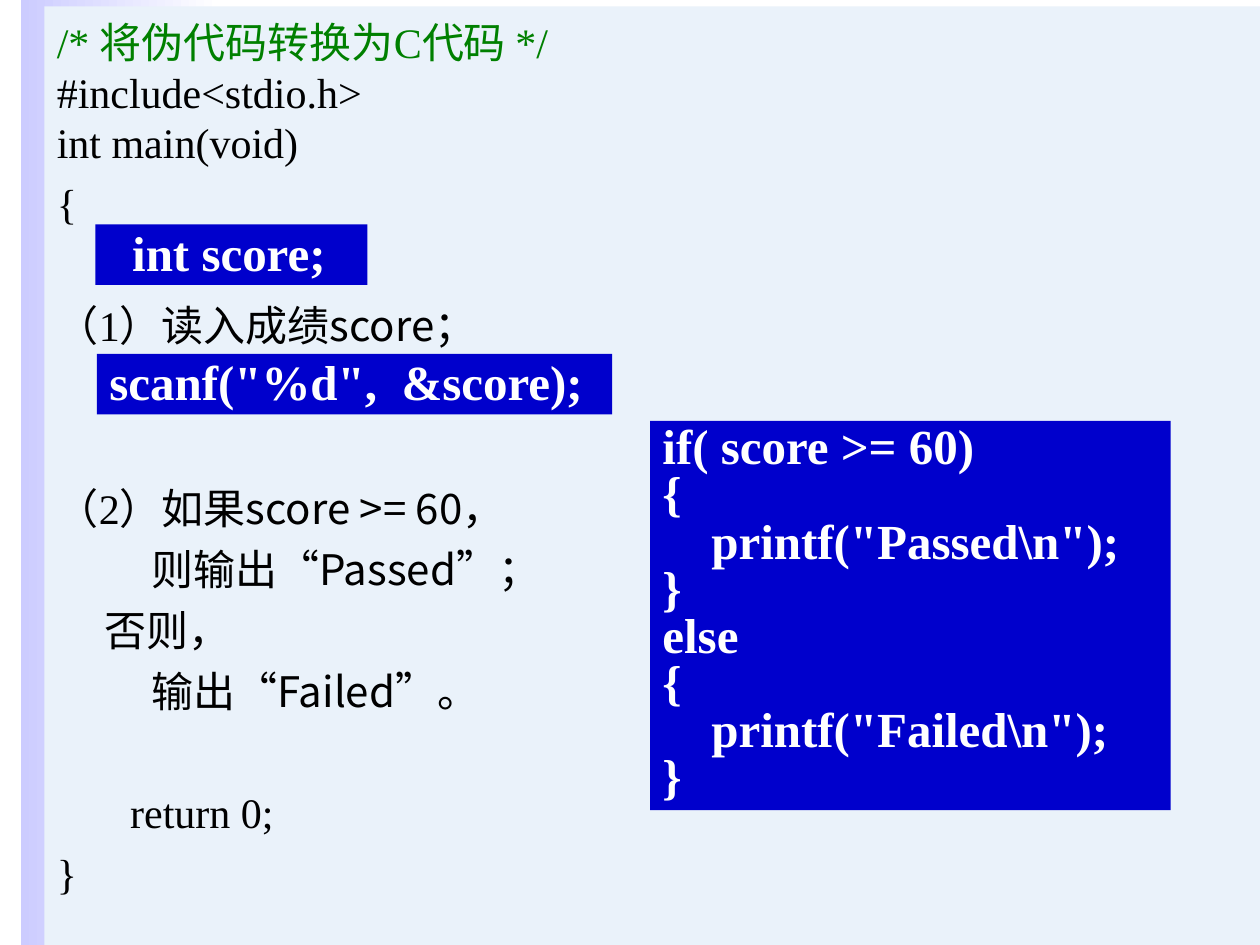
from dataclasses import dataclass

from pptx import Presentation
from pptx.dml.color import RGBColor
from pptx.enum import shapes, text
from pptx.oxml.ns import qn
from pptx.util import Pt

SERIF = "Times New Roman"
CJK = "Noto Sans CJK SC"
SIZE = 24
LEADING = 28.8
GAP = 6
ROW = LEADING + GAP


@dataclass(frozen=True)
class Line:
    runs: tuple[tuple[str, str], ...]
    before: float = GAP
    indent: float = 0
    color: str = "000000"


@dataclass(frozen=True)
class CodeBox:
    left: float
    top: float
    width: float
    height: float
    lines: tuple[str, ...]
    inset_top: float = 3
    inset_bottom: float = 0


PSEUDOCODE = (
    Line((("/* 将伪代码转换为C代码 */", SERIF),), before=0, color="008000"),
    Line((("#include<stdio.h>", SERIF),), before=0),
    Line((("int main(void)", SERIF),), before=0),
    Line((("{", SERIF),)),
    Line((("（1）", SERIF), ("读入成绩score；", CJK)), before=GAP + ROW),
    Line((("（2）", SERIF), ("如果score >= 60，", CJK)), before=GAP + 2 * ROW),
    Line((("则输出“Passed”；", CJK),), indent=54),
    Line((("否则，", CJK),), indent=27),
    Line((("输出“Failed”。", CJK),), indent=54),
    Line((("       return 0;", SERIF),), before=GAP + ROW),
    Line((("}", SERIF),)),
)

CODE_BOXES = (
    CodeBox(54.5, 128.2, 155.5, 34.6, ("  int score;",)),
    CodeBox(55.4, 202.2, 294.5, 34.6, ('scanf("%d",  &score);',)),
    CodeBox(
        371.5, 240.5, 297.4, 222.5,
        ("if( score >= 60)", "{", '    printf("Passed\\n");', "}",
         "else", "{", '    printf("Failed\\n");', "}"),
        3.6, 3.6,
    ),
)


def rgb(value: str) -> RGBColor:
    return RGBColor.from_string(value)


def add_rect(s, left: float, top: float, width: float, height: float, color: str):
    sp = s.shapes.add_shape(
        shapes.MSO_SHAPE.RECTANGLE, Pt(left), Pt(top), Pt(width), Pt(height)
    )
    sp.shadow.inherit = False
    sp.line.fill.background()
    sp.fill.solid()
    sp.fill.fore_color.rgb = rgb(color)
    return sp


def set_frame(sp, anchor, top: float, bottom: float):
    tf = sp.text_frame
    tf.word_wrap = True
    tf.vertical_anchor = anchor
    tf.margin_left = tf.margin_right = Pt(7.2)
    tf.margin_top, tf.margin_bottom = Pt(top), Pt(bottom)
    return tf


def add_paragraph(tf, index: int, spacing, before: float = 0, indent: float = 0):
    p = tf.add_paragraph() if index else tf.paragraphs[0]
    p.alignment = text.PP_ALIGN.LEFT
    p.line_spacing = spacing
    p.space_before = Pt(before)
    if indent:
        p._p.get_or_add_pPr().set("marL", str(Pt(indent)))
    return p


def add_run(p, content: str, *, font: str, size: float, color: str, bold: bool = False):
    r = p.add_run()
    r.text = content
    r.font.name, r.font.size, r.font.bold = font, Pt(size), bold
    r.font.color.rgb = rgb(color)
    ea = r._r.get_or_add_rPr().makeelement(qn("a:ea"), {"typeface": CJK})
    r._r.rPr.find(qn("a:latin")).addnext(ea)


def add_side_band(s) -> None:
    sp = add_rect(s, 12, 0, 114, 540, "CCCCFF")
    sp.fill.gradient()
    sp.fill.gradient_angle = 0
    for stop, position, color in zip(
        sp.fill.gradient_stops, (0, 1), ("CCCCFF", "FFFFFF")
    ):
        stop.position = position
        stop.color.rgb = rgb(color)


def add_pseudocode(s, lines: tuple[Line, ...]) -> None:
    sp = add_rect(s, 25.4, 3.6, 694.6, 536.4, "EAF2FA")
    tf = set_frame(sp, text.MSO_ANCHOR.TOP, 5.6, 3.6)
    for i, line in enumerate(lines):
        p = add_paragraph(tf, i, Pt(LEADING), line.before, line.indent)
        for content, font in line.runs:
            add_run(p, content, font=font, size=SIZE, color=line.color)


def add_code_box(s, box: CodeBox) -> None:
    sp = add_rect(s, box.left, box.top, box.width, box.height, "0000CC")
    tf = set_frame(sp, text.MSO_ANCHOR.MIDDLE, box.inset_top, box.inset_bottom)
    for i, content in enumerate(box.lines):
        p = add_paragraph(tf, i, 0.8)
        add_run(p, content, font=SERIF, size=28, color="FFFFFF", bold=True)


def main() -> None:
    prs = Presentation()
    prs.slide_width, prs.slide_height = Pt(720), Pt(540)
    s = prs.slides.add_slide(prs.slide_layouts[6])
    add_side_band(s)
    add_pseudocode(s, PSEUDOCODE)
    for box in CODE_BOXES:
        add_code_box(s, box)
    prs.save("out.pptx")


if __name__ == "__main__":
    main()
